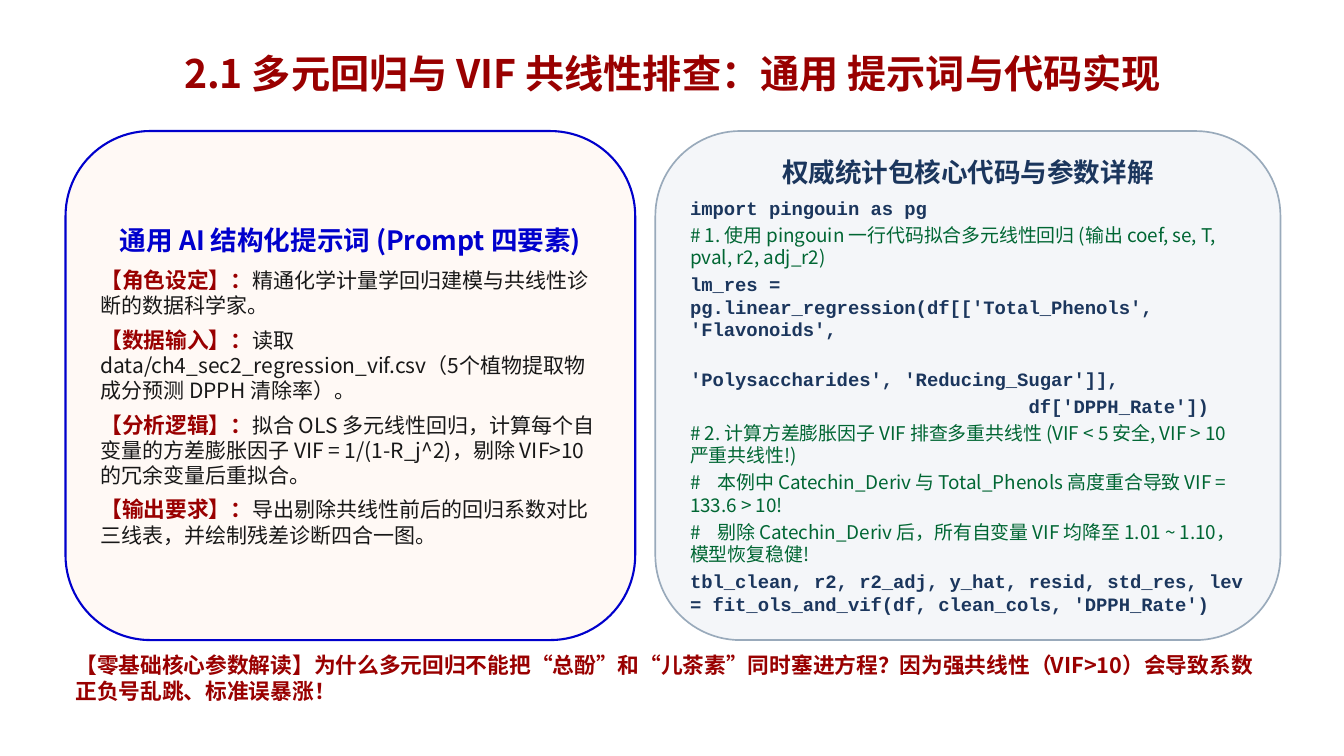
from pptx import Presentation
from pptx.dml.color import RGBColor
from pptx.enum.shapes import MSO_SHAPE
from pptx.enum.text import MSO_ANCHOR, PP_ALIGN
from pptx.util import Inches, Pt

ROUND = MSO_SHAPE.ROUNDED_RECTANGLE
MIDDLE, TOP = MSO_ANCHOR.MIDDLE, MSO_ANCHOR.TOP
CENTER, LEFT = PP_ALIGN.CENTER, PP_ALIGN.LEFT
SANS, MONO = "Noto Sans CJK SC", "Courier New"
RED, BLUE, NAVY, GREEN, INK = "990000", "0000CC", "1B365D", "006633", "181818"

TITLE = "2.1 多元回归与 VIF 共线性排查：通用 提示词与代码实现"
PROMPT = [
    ("角色设定", "精通化学计量学回归建模与共线性诊断的数据科学家。"),
    ("数据输入", "读取 data/ch4_sec2_regression_vif.csv（5个植物提取物成分预测 DPPH 清除率）。"),
    ("分析逻辑", "拟合 OLS 多元线性回归，计算每个自变量的方差膨胀因子 VIF = 1/(1-R_j^2)，"
             "剔除 VIF>10 的冗余变量后重拟合。"),
    ("输出要求", "导出剔除共线性前后的回归系数对比三线表，并绘制残差诊断四合一图。"),
]
CODE = """\
import pingouin as pg
# 1. 使用 pingouin 一行代码拟合多元线性回归 (输出 coef, se, T, pval, r2, adj_r2)
lm_res = pg.linear_regression(df[['Total_Phenols', 'Flavonoids',
                                  'Polysaccharides', 'Reducing_Sugar']],
                              df['DPPH_Rate'])
# 2. 计算方差膨胀因子 VIF 排查多重共线性 (VIF < 5 安全, VIF > 10 严重共线性!)
#    本例中 Catechin_Deriv 与 Total_Phenols 高度重合导致 VIF = 133.6 > 10!
#    剔除 Catechin_Deriv 后，所有自变量 VIF 均降至 1.01 ~ 1.10，模型恢复稳健!
tbl_clean, r2, r2_adj, y_hat, resid, std_res, lev = fit_ols_and_vif(df, clean_cols, 'DPPH_Rate')"""
NOTE = ("【零基础核心参数解读】为什么多元回归不能把“总酚”和“儿茶素”同时塞进方程？"
        "因为强共线性（VIF>10）会导致系数正负号乱跳、标准误暴涨！")


def color(value):
    return RGBColor.from_string(value)


def style(font, size, tint, bold=True, name=SANS):
    font.name, font.size, font.bold = name, Pt(size), bold
    font.color.rgb = color(tint)


def add_para(frame, after, align=LEFT):
    """Add a paragraph, using the empty first one of a new frame."""
    first = frame.paragraphs[0]
    para = frame.add_paragraph() if first.runs else first
    para.alignment, para.space_after = align, Pt(after)
    return para


def add_line(frame, text, size, tint, after=0, align=LEFT, bold=True, name=SANS):
    para = add_para(frame, after, align)
    para.add_run().text = text
    style(para.font, size, tint, bold, name)
    return para


def add_box(slide, box, anchor):
    frame = slide.shapes.add_textbox(*map(Inches, box)).text_frame
    frame.word_wrap, frame.vertical_anchor = True, anchor
    return frame


def add_panel(slide, box, fill, edge, width):
    """Add a rounded panel and return its text frame."""
    panel = slide.shapes.add_shape(ROUND, *map(Inches, box))
    panel.shadow.inherit = False
    panel.fill.solid()
    panel.fill.fore_color.rgb = color(fill)
    panel.line.color.rgb = color(edge)
    panel.line.width = Pt(width)
    frame = panel.text_frame
    frame.word_wrap, frame.vertical_anchor = True, MIDDLE
    return frame


def add_title(slide, box):
    para = add_line(add_box(slide, box, MIDDLE), TITLE, 28, RED, align=CENTER)
    para.line_spacing = 0.9


def add_prompt(slide, box):
    frame = add_panel(slide, box, "FFF9F5", BLUE, 1.5)
    add_line(frame, "通用 AI 结构化提示词 (Prompt 四要素)", 19, BLUE, 8, CENTER)
    for label, text in PROMPT:
        para = add_para(frame, 6)
        for words, size, tint, bold in ((f"【{label}】：", 15.5, RED, True),
                                        (text, 15, INK, False)):
            run = para.add_run()
            run.text = words
            style(run.font, size, tint, bold)


def add_code(slide, box):
    frame = add_panel(slide, box, "F4F6F9", "99AABB", 1.2)
    add_line(frame, "权威统计包核心代码与参数详解", 19, NAVY, 6, CENTER)
    for text in CODE.splitlines():
        if text.startswith("#"):
            add_line(frame, text, 13.5, GREEN, 3, bold=False)
        else:
            add_line(frame, text, 13.5, NAVY, 3, name=MONO)


def add_note(slide, box):
    add_line(add_box(slide, box, TOP), NOTE, 15.5, RED)


def main():
    deck = Presentation()
    deck.slide_width, deck.slide_height = Inches(13.33), Inches(7.5)
    slide = deck.slides.add_slide(deck.slide_layouts[6])
    add_title(slide, (0.92, 0.33, 11.5, 0.84))
    add_prompt(slide, (0.65, 1.3, 5.65, 5.05))
    add_code(slide, (6.5, 1.3, 6.2, 5.05))
    add_note(slide, (0.65, 6.42, 12.05, 0.65))
    deck.save("out.pptx")


if __name__ == "__main__":
    main()
